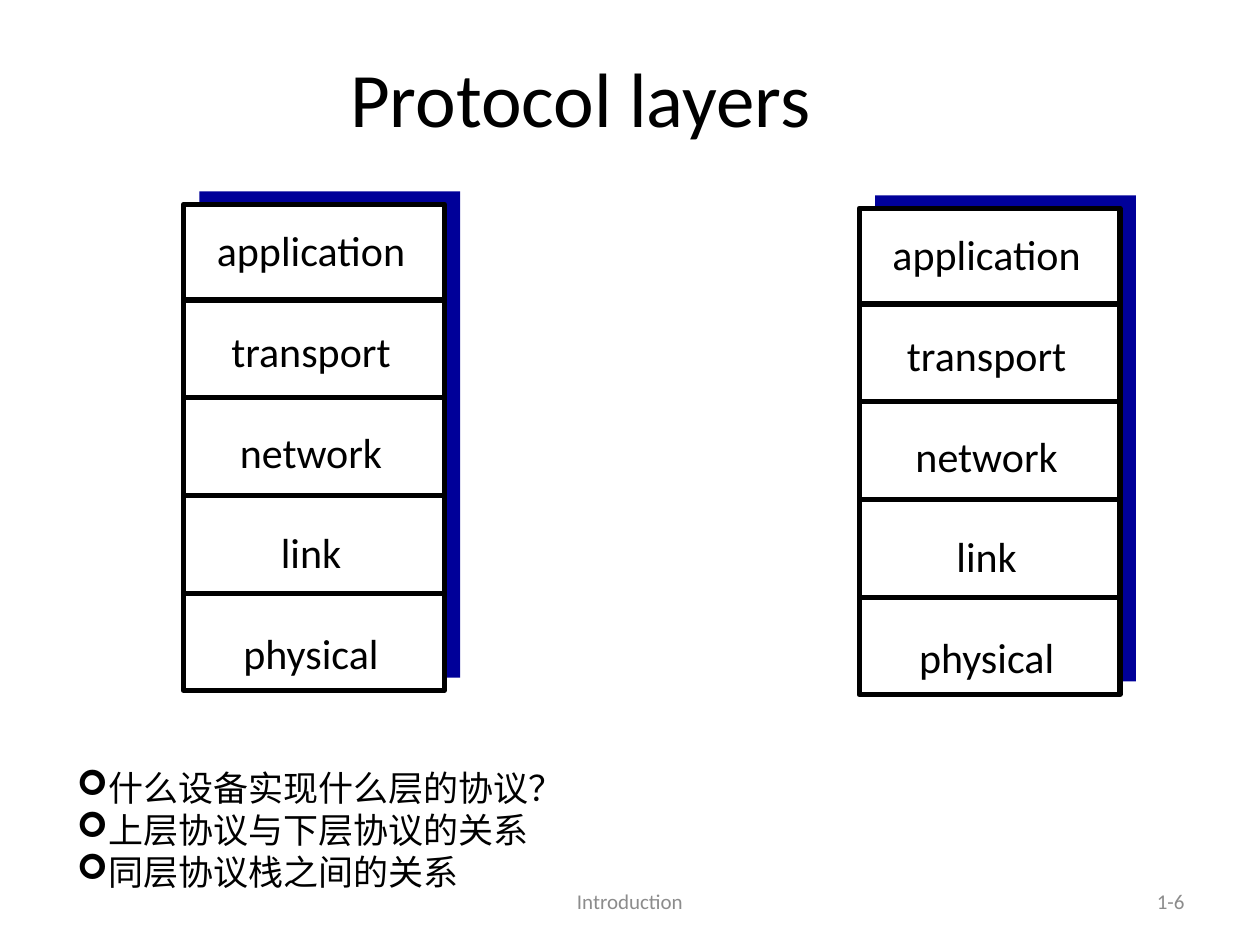
from dataclasses import dataclass

from lxml.etree import SubElement
from pptx import Presentation
from pptx.dml.color import RGBColor
from pptx.enum.shapes import MSO_CONNECTOR, MSO_SHAPE
from pptx.enum.text import MSO_ANCHOR, PP_ALIGN
from pptx.oxml.ns import qn
from pptx.util import Cm, Pt

BLACK = RGBColor(0x00, 0x00, 0x00)
WHITE = RGBColor(0xFF, 0xFF, 0xFF)
NAVY = RGBColor(0x00, 0x00, 0x99)
GREY = RGBColor(0x8C, 0x8C, 0x8C)
FONT = "Calibri"

LAYERS = ["application", "transport", "network", "link", "physical"]
QUESTIONS = ["什么设备实现什么层的协议？", "上层协议与下层协议的关系", "同层协议栈之间的关系"]

# Protocol stack measures in cm
STACK_W, STACK_H = 5.26, 9.8
FIRST_DIVIDER, DIVIDER_STEP = 1.93, 1.97


@dataclass
class Stack:
    left: float
    top: float


@dataclass
class Label:
    lines: list[str]
    left: float
    top: float
    width: float
    height: float
    size: int
    color: RGBColor = BLACK
    align: PP_ALIGN = PP_ALIGN.CENTER
    anchor: MSO_ANCHOR = MSO_ANCHOR.MIDDLE
    wrap: bool = True
    gap: float = 0
    bullet: str = ""


def add_bullet(p, char: str) -> None:
    pPr = p._p.get_or_add_pPr()
    pPr.set("marL", str(Cm(0.57)))
    pPr.set("indent", str(-Cm(0.57)))
    SubElement(pPr, qn("a:buFont"), typeface="Wingdings")
    SubElement(pPr, qn("a:buChar"), char=char)


def add_label(s, label: Label) -> None:
    box = s.shapes.add_textbox(Cm(label.left), Cm(label.top), Cm(label.width), Cm(label.height))
    tf = box.text_frame
    tf.text = "\n".join(label.lines)
    tf.word_wrap = label.wrap
    tf.vertical_anchor = label.anchor
    for i, p in enumerate(tf.paragraphs):
        p.alignment = label.align
        if i and label.gap:
            p.space_before = Pt(label.gap)
        if label.bullet:
            add_bullet(p, label.bullet)
        for r in p.runs:
            r.font.name = FONT
            r.font.size = Pt(label.size)
            r.font.color.rgb = label.color


def add_panel(s, left: float, top: float, fill: RGBColor, outlined: bool) -> None:
    sp = s.shapes.add_shape(MSO_SHAPE.RECTANGLE, Cm(left), Cm(top), Cm(STACK_W), Cm(STACK_H))
    sp.shadow.inherit = False
    sp.fill.solid()
    sp.fill.fore_color.rgb = fill
    if outlined:
        sp.line.color.rgb = BLACK
        sp.line.width = Pt(3)
    else:
        sp.line.fill.background()


def add_divider(s, left: float, y: float) -> None:
    line = s.shapes.add_connector(MSO_CONNECTOR.STRAIGHT, Cm(left), Cm(y), Cm(left + STACK_W), Cm(y))
    line.line.color.rgb = BLACK
    line.line.width = Pt(3)
    SubElement(line._element.spPr, qn("a:effectLst"))


def add_stack(s, stack: Stack) -> None:
    add_panel(s, stack.left + 0.32, stack.top - 0.26, NAVY, outlined=False)
    add_panel(s, stack.left, stack.top, WHITE, outlined=True)
    add_label(s, Label(LAYERS, stack.left + 0.4, stack.top + 0.28, 4.34, 9.5, 24,
                       anchor=MSO_ANCHOR.TOP, wrap=False, gap=28.8))
    for i in range(len(LAYERS) - 1):
        add_divider(s, stack.left - 0.03, stack.top + FIRST_DIVIDER + i * DIVIDER_STEP)


def main() -> None:
    prs = Presentation()
    prs.slide_width, prs.slide_height = Cm(25.4), Cm(19.05)
    s = prs.slides.add_slide(prs.slide_layouts[6])
    s.background.fill.solid()
    s.background.fill.fore_color.rgb = WHITE

    # Title and footer
    add_label(s, Label(["Protocol layers"], 0.91, 0.36, 21.59, 3.18, 44))
    add_label(s, Label(["Introduction"], 8.68, 17.66, 8.04, 1.01, 12, GREY))
    add_label(s, Label(["1-6"], 18.2, 17.66, 5.93, 1.01, 12, GREY, PP_ALIGN.RIGHT))

    # Two protocol stacks
    for stack in (Stack(17.32, 4.2), Stack(3.7, 4.12)):
        add_stack(s, stack)

    # Questions
    add_label(s, Label(QUESTIONS, 1.3, 15.32, 18.8, 2.82, 20, align=PP_ALIGN.LEFT,
                       anchor=MSO_ANCHOR.TOP, bullet="➢"))

    prs.save("out.pptx")


if __name__ == "__main__":
    main()
